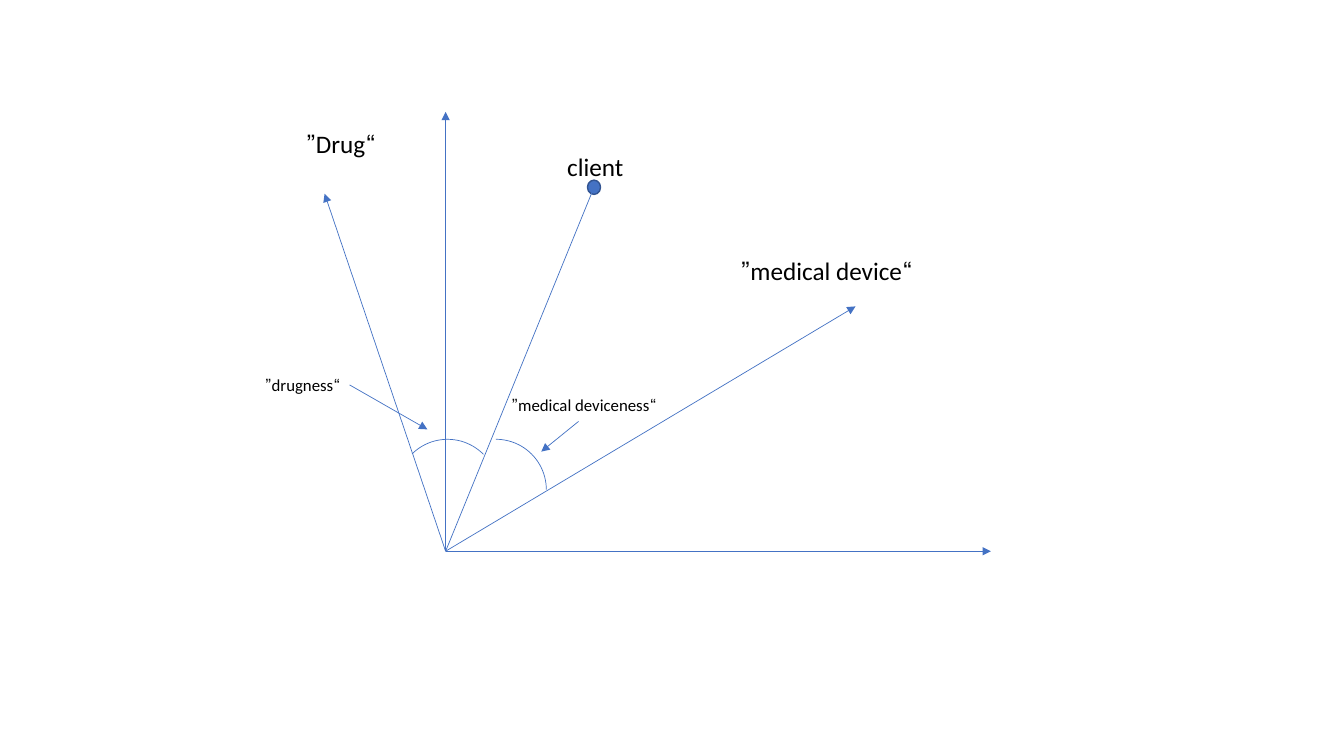
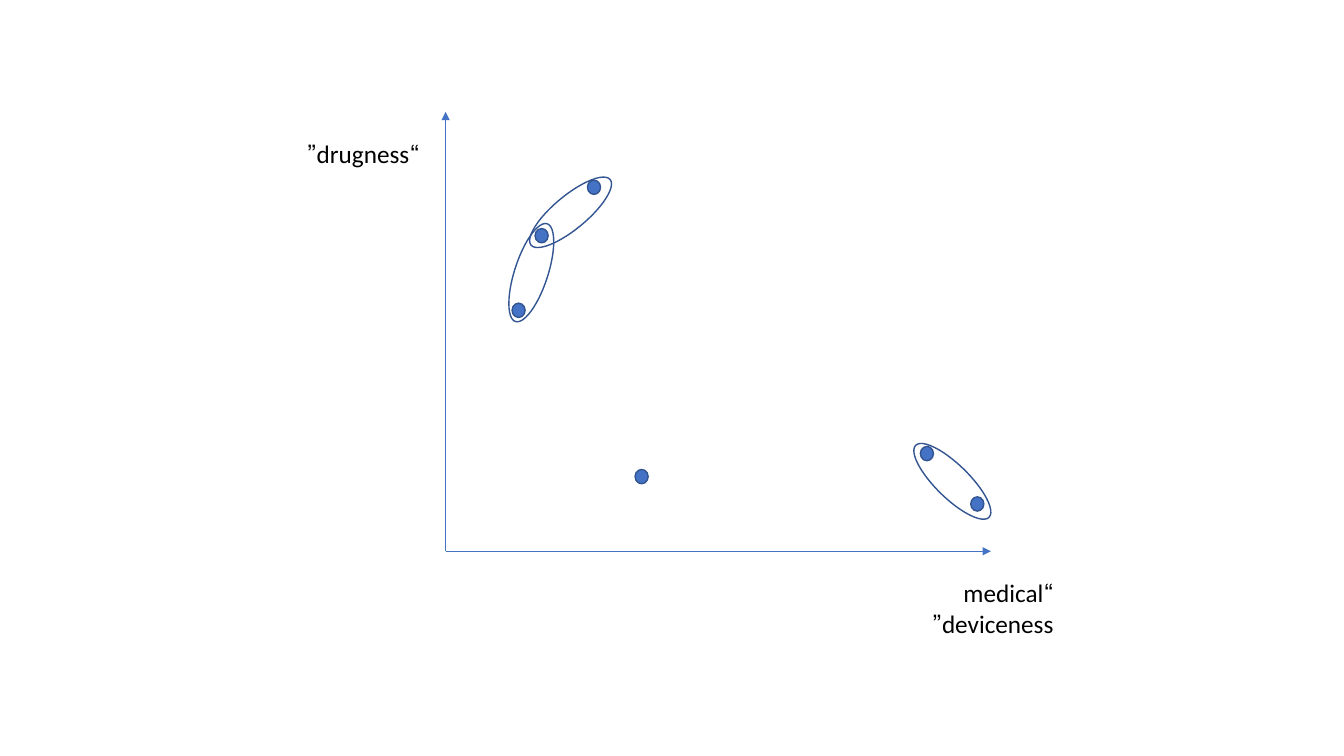
import pptx
import pptx.util
import pptx.dml.color
import pptx.enum.shapes
import pptx.enum.text
import lxml.etree
from pptx.oxml.ns import qn

Cm, Pt = pptx.util.Cm, pptx.util.Pt
SHAPE = pptx.enum.shapes.MSO_SHAPE
COLORS = {"blue": "4472C4", "outline": "325491", "text": "000000"}
FONT = "Calibri"

# All positions and sizes are in centimetres.
ORIGIN = (11.23, 13.89)
AXIS_ENDS = [(24.97, 13.89), (11.23, 2.82)]
DOT_SIZE = (0.33, 0.36)
ARC_SIZE = (2.54, 2.54)
CLUSTER_SIZE = (2.59, 0.84)
CLIENT = (14.97, 4.72)

# Lines: start, end, arrowhead
VECTORS = [
    (CLIENT, ORIGIN, False),
    (ORIGIN, (21.56, 7.72), True),
    (ORIGIN, (8.18, 4.88), True),
    ((14.58, 10.62), (13.64, 11.38), True),
    ((8.81, 9.70), (10.77, 10.82), True),
]
# Arcs and clusters: centre, rotation
ANGLE_ARCS = [((12.50, 12.34), 0), ((11.28, 12.34), 315.4)]
CLUSTERS = [((24.00, 12.13), 44.4), ((14.38, 5.35), 320.3), ((13.39, 6.87), 288)]
CLIENTS = [CLIENT, (13.65, 5.94), (23.36, 11.43),
           (16.17, 12.01), (13.07, 7.82), (24.63, 12.70)]
# Labels: text, (left, top, width, height), point size
VECTOR_LABELS = [
    ("client", (12.45, 3.68, 3.51, 1.02), 18),
    ("“medical device”", (18.03, 6.30, 5.21, 1.02), 18),
    ("“medical deviceness”", (12.34, 9.83, 4.45, 0.76), 12),
    ("“Drug”", (5.82, 3.12, 3.89, 1.02), 18),
    ("“drugness”", (6.25, 9.32, 2.57, 0.76), 12),
]
AXIS_LABELS = [
    ("“medical deviceness”", (22.35, 14.43, 4.45, 1.80), 18),
    ("“drugness”", (7.47, 3.35, 3.35, 1.02), 18),
]


def rgb(name):
    return pptx.dml.color.RGBColor.from_string(COLORS[name])


def add_line(shapes, start, end, arrow=True):
    line = shapes.add_connector(pptx.enum.shapes.MSO_CONNECTOR.STRAIGHT,
                                *map(Cm, start + end))
    line.line.color.rgb = rgb("blue")
    line.line.width = Pt(0.5)
    if arrow:
        lxml.etree.SubElement(line.line._get_or_add_ln(), qn("a:tailEnd"), type="triangle")
    lxml.etree.SubElement(line._element.spPr, qn("a:effectLst"))


def add_centred(s, kind, centre, size, fill=None, line="outline", width=1, rotation=0):
    """Add a preset shape placed by its centre."""
    corner = [c - d / 2 for c, d in zip(centre, size)]
    sp = s.shapes.add_shape(kind, *map(Cm, (*corner, *size)))
    sp.shadow.inherit = False
    sp.rotation = rotation
    if fill:
        sp.fill.solid()
        sp.fill.fore_color.rgb = rgb(fill)
    else:
        sp.fill.background()
    sp.line.color.rgb = rgb(line)
    sp.line.width = Pt(width)


def add_text(s, text, box, size=18, color="text"):
    """Add a right-aligned label that reads right to left."""
    tf = s.shapes.add_textbox(*map(Cm, box)).text_frame
    tf.word_wrap = True
    p = tf.paragraphs[0]
    p.alignment = pptx.enum.text.PP_ALIGN.RIGHT
    p._p.get_or_add_pPr().set("rtl", "1")
    r = p.add_run()
    r.text = text
    r.font.name = FONT
    r.font.size = Pt(size)
    r.font.color.rgb = rgb(color)


def add_plot_slide(prs, clients, labels):
    """Add a slide with the two axes, the client dots and the labels."""
    s = prs.slides.add_slide(prs.slide_layouts[6])
    axes = s.shapes.add_group_shape()
    for end in AXIS_ENDS:
        add_line(axes.shapes, ORIGIN, end)
    for centre in clients:
        add_centred(s, SHAPE.OVAL, centre, DOT_SIZE, fill="blue")
    for text, box, size in labels:
        add_text(s, text, box, size=size)
    return s


def main():
    prs = pptx.Presentation()
    prs.slide_width, prs.slide_height = Cm(33.87), Cm(19.05)

    s = add_plot_slide(prs, [CLIENT], VECTOR_LABELS)
    for start, end, arrow in VECTORS:
        add_line(s.shapes, start, end, arrow)
    for centre, rotation in ANGLE_ARCS:
        add_centred(s, SHAPE.ARC, centre, ARC_SIZE,
                    line="blue", width=0.5, rotation=rotation)

    s = add_plot_slide(prs, CLIENTS, AXIS_LABELS)
    for centre, rotation in CLUSTERS:
        add_centred(s, SHAPE.OVAL, centre, CLUSTER_SIZE, rotation=rotation)

    prs.save("out.pptx")


if __name__ == "__main__":
    main()
